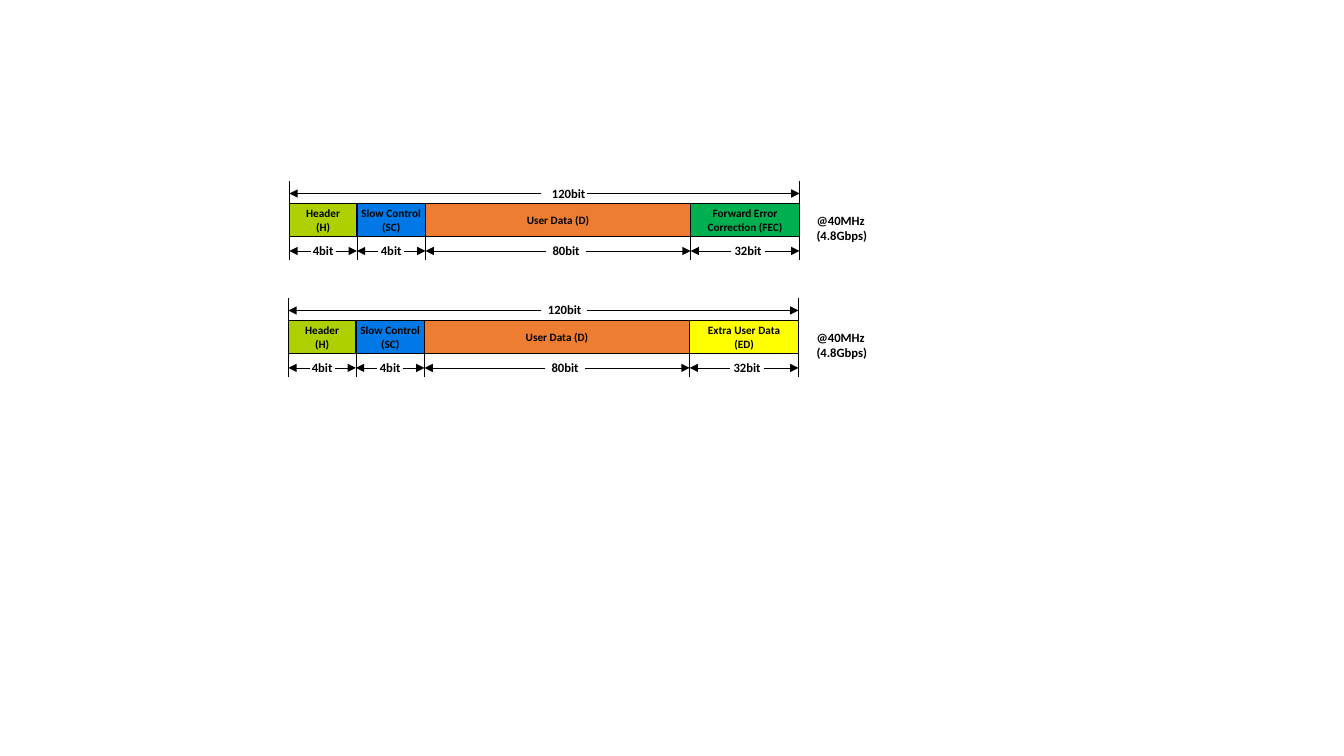
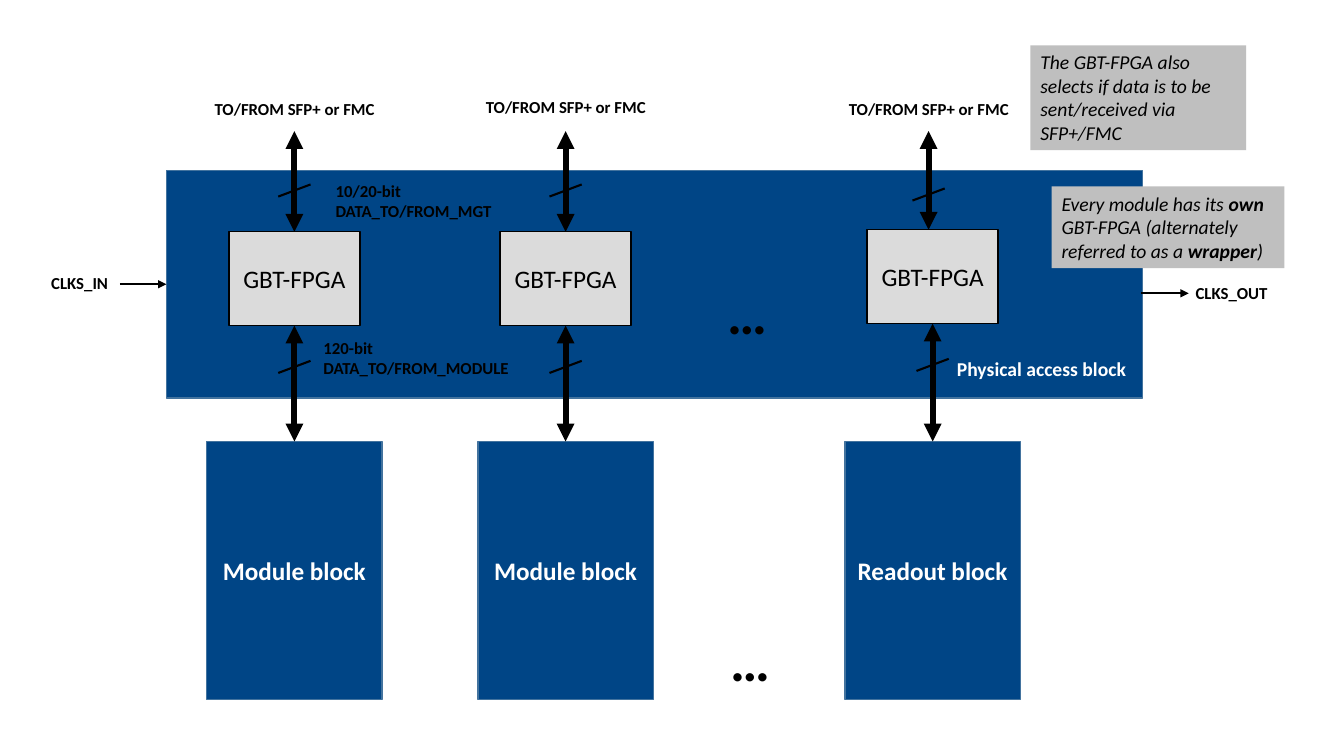
"""Build two slides: the 120-bit frame formats and the physical access block."""
from lxml import etree
from pptx import Presentation
from pptx.dml.color import RGBColor
from pptx.enum.shapes import MSO_CONNECTOR, MSO_SHAPE
from pptx.enum.text import MSO_ANCHOR, PP_ALIGN
from pptx.oxml.ns import qn
from pptx.util import Pt

PX = 9144
FONT = "Calibri"
STRAIGHT = MSO_CONNECTOR.STRAIGHT
RECTANGLE = MSO_SHAPE.RECTANGLE
LEFT, CENTER = PP_ALIGN.LEFT, PP_ALIGN.CENTER
TOP, MIDDLE = MSO_ANCHOR.TOP, MSO_ANCHOR.MIDDLE
TOP_SIDE, LEFT_SIDE, BOTTOM_SIDE = 0, 1, 2

BLACK = RGBColor(0x00, 0x00, 0x00)
WHITE = RGBColor(0xFF, 0xFF, 0xFF)
LIME = RGBColor(0xAE, 0xCF, 0x00)
BLUE = RGBColor(0x00, 0x78, 0xE6)
ORANGE = RGBColor(0xED, 0x7D, 0x31)
GREEN = RGBColor(0x00, 0xB0, 0x50)
YELLOW = RGBColor(0xFF, 0xFF, 0x00)
NAVY = RGBColor(0x00, 0x45, 0x86)
STEEL = RGBColor(0x43, 0x73, 0x9E)
LIGHT_GRAY = RGBColor(0xDB, 0xDB, 0xDB)
NOTE_GRAY = RGBColor(0xBF, 0xBF, 0xBF)


def add_text(slide, text, box, size=12, bold=True, italic=False, color=BLACK, fill=None,
             outline=None, align=LEFT, anchor=TOP, wrap=False, margin=None):
    """Add a text box, or a rectangle if filled; asterisks toggle bold."""
    left, top, width, height = [round(value * PX) for value in box]
    if fill is None:
        shape = slide.shapes.add_textbox(left, top, width, height)
    else:
        shape = slide.shapes.add_shape(RECTANGLE, left, top, width, height)
        shape.shadow.inherit = False
        shape.fill.solid()
        shape.fill.fore_color.rgb = fill
        if outline is None:
            shape.line.fill.background()
        else:
            shape.line.color.rgb = outline
            shape.line.width = Pt(1)
    frame = shape.text_frame
    frame.word_wrap = wrap
    frame.vertical_anchor = anchor
    if margin is not None:
        frame.margin_left = frame.margin_right = margin * PX
        frame.margin_top = frame.margin_bottom = margin * PX
    for index, line in enumerate(text.split("\n")):
        paragraph = frame.add_paragraph() if index else frame.paragraphs[0]
        paragraph.alignment = align
        for position, part in enumerate(line.split("*")):
            if part:
                run = paragraph.add_run()
                run.text = part
                run.font.name = FONT
                run.font.size = Pt(size)
                run.font.bold = bold != (position % 2 == 1)
                run.font.italic = italic
                run.font.color.rgb = color
    return shape


def add_line(slide, start, end, width=0.5, arrows=()):
    """Add a black line with arrowheads at the named ends."""
    points = [round(value * PX) for value in (*start, *end)]
    connector = slide.shapes.add_connector(STRAIGHT, *points)
    connector.line.color.rgb = BLACK
    connector.line.width = Pt(width)
    properties = connector.element.spPr
    outline = properties.find(qn("a:ln"))
    for arrow in arrows:
        etree.SubElement(outline, qn(f"a:{arrow}")).set("type", "triangle")
    etree.SubElement(properties, qn("a:effectLst"))
    return connector


presentation = Presentation()
presentation.slide_width = 1333 * PX
presentation.slide_height = 750 * PX
blank_layout = presentation.slide_layouts[6]

frame_slide = presentation.slides.add_slide(blank_layout)
FIELD_EDGES = (0, 67, 135, 398, 506)
FIELD_BITS = ("4bit", "4bit", "80bit", "32bit")
FIELD_GAPS = ((21, 46), (88, 114), (255, 294), (438, 472))
FRAME_HEIGHT = 33
SHARED_FIELDS = [("Header\n(H)", LIME), ("Slow Control\n(SC)", BLUE), ("User Data (D)", ORANGE)]
frames = [
    (287, 202, 564, ("Forward Error\nCorrection (FEC)", GREEN)),
    (286, 318, 560, ("Extra User Data\n(ED)", YELLOW)),
]
for frame_left, frame_top, total_center, last_field in frames:
    edges = [frame_left + edge for edge in FIELD_EDGES]
    fields = SHARED_FIELDS + [last_field]
    for (name, fill), left, right in zip(fields, edges, edges[1:]):
        add_text(frame_slide, name, (left, frame_top, right - left, FRAME_HEIGHT), size=8,
                 fill=fill, outline=BLACK, align=CENTER, anchor=MIDDLE, margin=0)

    tick_top = frame_top + FRAME_HEIGHT
    for edge in edges:
        add_line(frame_slide, (edge, tick_top), (edge, tick_top + 23))
    for edge in (edges[0], edges[-1]):
        add_line(frame_slide, (edge, frame_top - 22), (edge, frame_top))

    dimensions = [("120bit", edges[0], edges[-1], 537, 582, total_center, frame_top - 10)]
    for bits, left, right, gap in zip(FIELD_BITS, edges, edges[1:], FIELD_GAPS):
        gap_left, gap_right = [frame_left + value for value in gap]
        center = (gap_left + gap_right) / 2
        dimensions.append((bits, left, right, gap_left, gap_right, center, frame_top + 47))
    for bits, left, right, gap_left, gap_right, center, y in dimensions:
        add_line(frame_slide, (gap_left, y), (left, y), arrows=["tailEnd"])
        add_line(frame_slide, (gap_right, y), (right, y), arrows=["tailEnd"])
        add_text(frame_slide, bits, (center - 27, y - 13, 54, 25), size=9, align=CENTER)

    add_text(frame_slide, "@40MHz\n(4.8Gbps)", (800, frame_top + 4, 71, 40), size=9)

block_slide = presentation.slides.add_slide(blank_layout)
physical_block = add_text(block_slide, "", (165, 169, 968, 226), fill=NAVY, outline=STEEL)
add_text(block_slide, "Physical access block", (937, 349, 192, 34), size=14, color=WHITE,
         align=CENTER, wrap=True)

BOTH_ENDS = ("headEnd", "tailEnd")
columns = [
    ("Module block", 292, 292, 230, 183, 93),
    ("Module block", 561, 561, 230, 183, 91),
    ("Readout block", 925, 921, 228, 187, 93),
]
for name, center, link_x, wrapper_top, slash_top, label_top in columns:
    block = add_text(block_slide, name, (center - 87, 438, 174, 256), size=18, color=WHITE,
                     fill=NAVY, outline=STEEL, align=CENTER, anchor=MIDDLE, wrap=True)
    wrapper = add_text(block_slide, "GBT-FPGA", (center - 65, wrapper_top, 130, 93), size=18,
                       bold=False, fill=LIGHT_GRAY, outline=BLACK, align=CENTER,
                       anchor=MIDDLE, wrap=True)
    module_link = add_line(block_slide, (center, 438), (center, wrapper_top + 93), 4.25, BOTH_ENDS)
    module_link.begin_connect(block, TOP_SIDE)
    module_link.end_connect(wrapper, BOTTOM_SIDE)
    outside_link = add_line(block_slide, (link_x, wrapper_top), (link_x, 130), 4.25, BOTH_ENDS)
    if link_x == center:
        outside_link.begin_connect(wrapper, TOP_SIDE)
    for x, y in ((center, wrapper_top + 128), (link_x, slash_top)):
        add_line(block_slide, (x + 16, y), (x - 16, y + 12), 1.5)
    add_text(block_slide, "TO/FROM SFP+ or FMC", (link_x - 89, label_top, 181, 30))

for text, box in (
    ("10/20-bit\nDATA_TO/FROM_MGT", (323, 174, 177, 50)),
    ("120-bit\nDATA_TO/FROM_MODULE", (311, 330, 206, 50)),
    ("CLKS_IN", (41, 266, 77, 30)),
    ("CLKS_OUT", (1176, 276, 93, 30)),
):
    add_text(block_slide, text, box)
for left, top in ((712, 271), (715, 616)):
    add_text(block_slide, "…", (left, top, 60, 77), size=40)

clock_in = add_line(block_slide, (119, 282), (165, 282), 1.5, ["tailEnd"])
clock_in.end_connect(physical_block, LEFT_SIDE)
add_line(block_slide, (1132, 291), (1179, 291), 1.5, ["tailEnd"])

for text, box in (
    ("Every module has its *own* GBT-FPGA (alternately referred to as a *wrapper*)",
     (1043, 185, 231, 81)),
    ("The GBT-FPGA also selects if data is to be sent/received via SFP+/FMC",
     (1022, 45, 214, 104)),
):
    add_text(block_slide, text, box, size=14, bold=False, italic=True, fill=NOTE_GRAY, wrap=True)

presentation.save("out.pptx")
